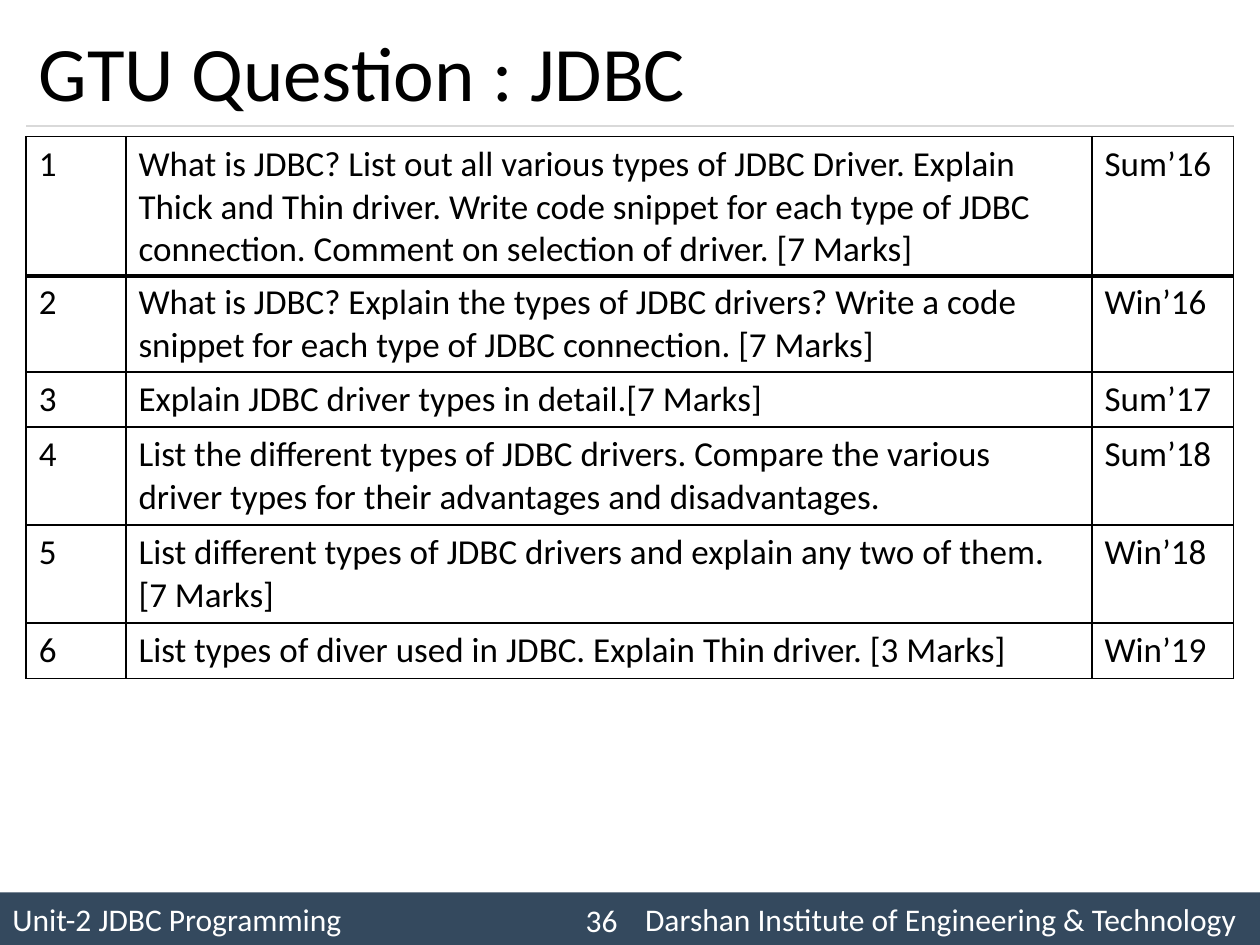
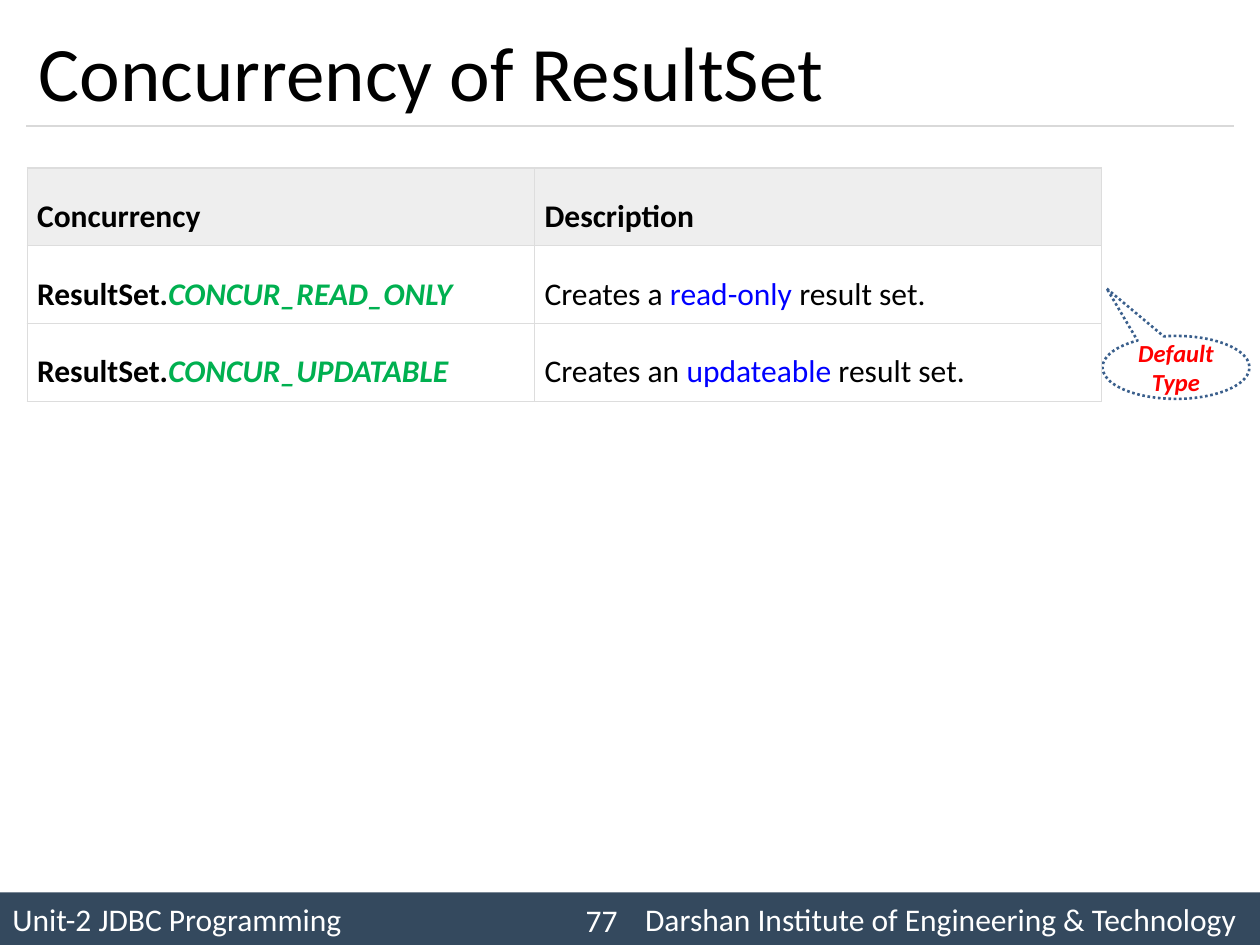
from lxml import etree
from pptx import Presentation
from pptx.dml.color import RGBColor
from pptx.enum import dml, shapes, text
from pptx.oxml import ns
from pptx.util import Pt

BLACK = RGBColor(0, 0, 0)
WHITE = RGBColor(255, 255, 255)
NAVY = RGBColor(0x34, 0x49, 0x5E)
RULE = RGBColor(0xD9, 0xD9, 0xD9)
EDGE = RGBColor(0xDD, 0xDD, 0xDD)
HEAD = RGBColor(0xEE, 0xEE, 0xEE)
GREEN = RGBColor(0, 0xB0, 0x50)
BLUE = RGBColor(0, 0, 255)
RED = RGBColor(255, 0, 0)
STEEL = RGBColor(0x3A, 0x5F, 0x8C)

FACE = "Calibri"
WIDE, HIGH = 720, 540
LEFT, SPAN = 15, 690
BAND = 510  # top of the footer band


def node(parent, tag, **attrs):
    return etree.SubElement(parent, ns.qn(tag), attrs)


class Deck:
    def __init__(self):
        self.prs = Presentation()
        self.prs.slide_width, self.prs.slide_height = Pt(WIDE), Pt(HIGH)

    def style(self, para, size, color=BLACK, bold=False, italic=False):
        font = para.font
        font.name, font.size = FACE, Pt(size)
        font.bold, font.italic = bold, italic
        font.color.rgb = color

    def page(self, title, number):
        self.slide = self.prs.slides.add_slide(self.prs.slide_layouts[5])
        self.shapes = self.slide.shapes
        self.footer(number)
        self.rule()
        self.title(title)

    def title(self, words):
        box = self.shapes.title
        box.left, box.top, box.width, box.height = Pt(LEFT), Pt(9), Pt(SPAN), Pt(63)
        frame = box.text_frame
        frame.text = words
        frame.vertical_anchor = text.MSO_ANCHOR.MIDDLE
        para = frame.paragraphs[0]
        para.alignment = text.PP_ALIGN.LEFT
        self.style(para, 44)

    def rule(self):
        line = self.shapes.add_connector(
            shapes.MSO_CONNECTOR.STRAIGHT, Pt(LEFT), Pt(72), Pt(LEFT + SPAN), Pt(72))
        line.line.color.rgb, line.line.width = RULE, Pt(0.75)
        node(line._element.spPr, "a:effectLst")

    def shape(self, kind, x, y, w, h):
        item = self.shapes.add_shape(kind, Pt(x), Pt(y), Pt(w), Pt(h))
        item.shadow.inherit = False
        frame = item.text_frame
        frame.word_wrap = True
        frame.vertical_anchor = text.MSO_ANCHOR.MIDDLE
        return item, frame.paragraphs[0]

    def footer(self, number):
        band, para = self.shape(shapes.MSO_SHAPE.RECTANGLE, 0, BAND, WIDE, HIGH - BAND)
        band.fill.solid()
        band.fill.fore_color.rgb = NAVY
        band.line.fill.background()
        para.alignment = text.PP_ALIGN.LEFT
        para.add_run().text = ("Unit-2 JDBC Programming\t"
                               "Darshan Institute of Engineering & Technology")
        tabs = node(para._p.get_or_add_pPr(), "a:tabLst")
        node(tabs, "a:tab", pos=str(Pt(699.5)), algn="r")
        self.style(para, 18, WHITE)

        box = self.shapes.add_textbox(Pt(300), Pt(511), Pt(60), Pt(29))
        frame = box.text_frame
        frame.word_wrap = True
        frame.vertical_anchor = text.MSO_ANCHOR.MIDDLE
        frame.text = number
        frame.paragraphs[0].alignment = text.PP_ALIGN.RIGHT
        self.style(frame.paragraphs[0], 18, WHITE)

    def edges(self, cell, color, width):
        props = cell._tc.get_or_add_tcPr()
        for spot, side in enumerate("LRTB"):
            line = etree.Element(ns.qn("a:ln" + side), w=str(Pt(width)))
            fill = node(line, "a:solidFill")
            node(fill, "a:srgbClr", val=str(color))
            props.insert(spot, line)

    def table(self, x, y, cols, highs, rows):
        """Add a plain table and yield each cell with its row and content."""
        grid = self.shapes.add_table(
            len(rows), len(cols), Pt(x), Pt(y), Pt(sum(cols)), Pt(sum(highs))).table
        grid.first_row = grid.horz_banding = False
        for col, wide in zip(grid.columns, cols):
            col.width = Pt(wide)
        for r, (row, high) in enumerate(zip(rows, highs)):
            grid.rows[r].height = Pt(high)
            for c, words in enumerate(row):
                yield grid.cell(r, c), words

    def asks(self, y, rows, lines):
        """Question table; lines gives the text lines of each row."""
        highs = [24.4 * n + 7.2 for n in lines]
        for cell, words in self.table(LEFT, y, (57, 552, 81), highs, rows):
            cell.text_frame.text = words
            for para in cell.text_frame.paragraphs:
                self.style(para, 20)
            cell.fill.background()
            self.edges(cell, BLACK, 1)

    def modes(self, y, rows, head=False):
        """Concurrency table; each cell is a list of (words, colour) runs."""
        highs = [44.5] * len(rows)
        for spot, (cell, runs) in enumerate(self.table(15.5, y, (290, 324), highs, rows)):
            cell.margin_left = cell.margin_right = Pt(5.75)
            cell.margin_top = cell.margin_bottom = Pt(5.75)
            para = cell.text_frame.paragraphs[0]
            para.line_spacing = 1.5
            top = head and spot < 2
            self.style(para, 18, bold=top or spot % 2 == 0)
            for words, color in runs:
                run = para.add_run()
                run.text = words
                if color != BLACK:
                    run.font.color.rgb = color
                    run.font.italic = color == GREEN
            if top:
                cell.fill.solid()
                cell.fill.fore_color.rgb = HEAD
            else:
                cell.fill.background()
            self.edges(cell, EDGE, 0.75)

    def callout(self, words, x, y, w, h, tip):
        item, para = self.shape(shapes.MSO_SHAPE.OVAL_CALLOUT, x, y, w, h)
        item.adjustments[0], item.adjustments[1] = tip
        item.fill.background()
        item.line.color.rgb, item.line.width = STEEL, Pt(1.5)
        item.line.dash_style = dml.MSO_LINE.ROUND_DOT
        para.alignment = text.PP_ALIGN.CENTER
        para.add_run().text = words
        self.style(para, 14, RED, bold=True, italic=True)


def mode(name, lead, kind):
    return ([("ResultSet.", BLACK), (name, GREEN)],
            [(lead, BLACK), (kind, BLUE), (" result set.", BLACK)])


def main():
    deck = Deck()

    # Exam questions
    deck.page("GTU Question : JDBC", "36")
    deck.asks(78, [
        ("1", "What is JDBC? List out all various types of JDBC Driver. Explain Thick and "
              "Thin driver. Write code snippet for each type of JDBC connection. Comment on "
              "selection of driver. [7 Marks]", "Sum’16")], [3])
    deck.asks(157, [
        ("2", "What is JDBC? Explain the types of JDBC drivers? Write a code snippet for "
              "each type of JDBC connection. [7 Marks]", "Win’16")], [2])
    deck.asks(212.5, [
        ("3", "Explain JDBC driver types in detail.[7 Marks]", "Sum’17"),
        ("4", "List the different types of JDBC drivers. Compare the various driver types "
              "for their advantages and disadvantages.", "Sum’18"),
        ("5", "List different types of JDBC drivers and explain any two of them.\n[7 Marks]",
         "Win’18"),
        ("6", "List types of diver used in JDBC. Explain Thin driver. [3 Marks]", "Win’19"),
    ], [1, 2, 2, 1])

    # Concurrency modes
    deck.page("Concurrency of ResultSet", "77")
    deck.modes(96, [
        ([("Concurrency", BLACK)], [("Description", BLACK)]),
        mode("CONCUR_READ_ONLY", "Creates a ", "read-only"),
    ], head=True)
    deck.callout("Default Type", 630, 192, 84, 36, (-0.47, -1.25))
    deck.modes(185, [mode("CONCUR_UPDATABLE", "Creates an ", "updateable")])

    deck.prs.save("out.pptx")


if __name__ == "__main__":
    main()
